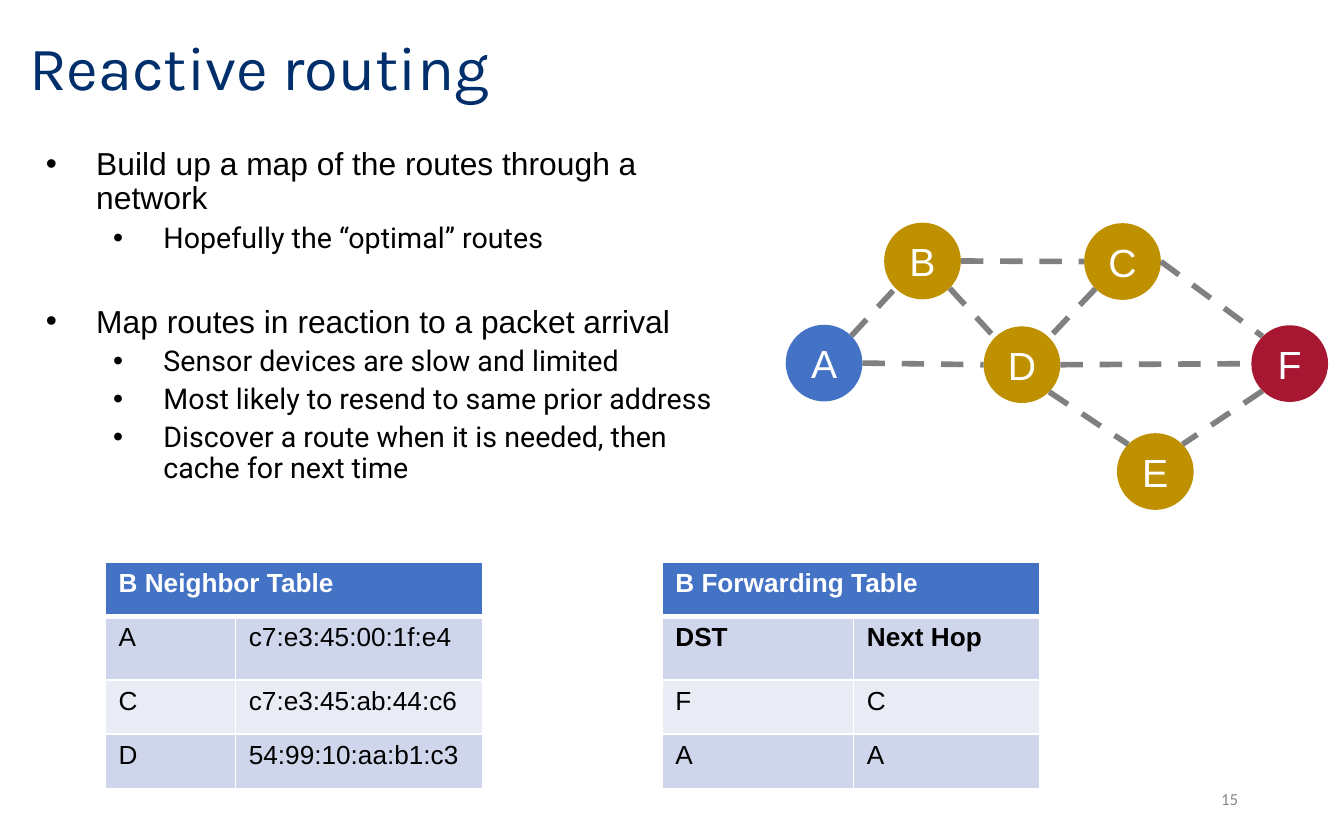
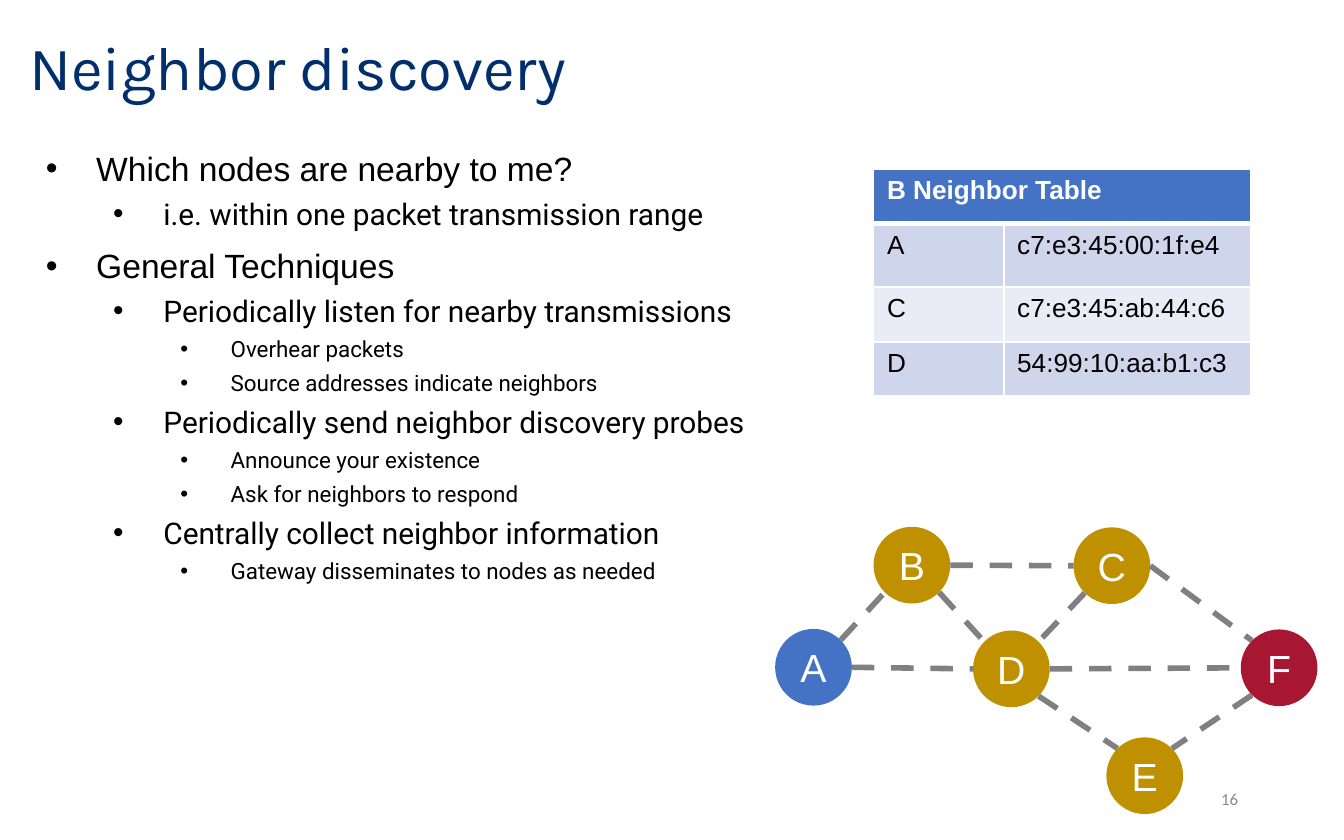
from lxml.etree import SubElement
from pptx import Presentation
from pptx.dml.color import RGBColor
from pptx.enum.dml import MSO_LINE
from pptx.enum.shapes import MSO_CONNECTOR, MSO_SHAPE
from pptx.enum.text import MSO_ANCHOR, PP_ALIGN
from pptx.oxml.ns import qn
from pptx.util import Cm, Pt

HUES = {
    "navy": "002F6C", "black": "000000", "white": "FFFFFF", "grey": "888888",
    "blue": "4472C4", "gold": "BF9000", "red": "A71732", "link": "808080",
    "dark": "CFD5EA", "light": "E9EBF5",
}
FONTS = {
    "title": {"name": "Karla", "size": Pt(33)},
    "page": {"name": "Calibri", "size": Pt(9)},
    "head": {"name": "Arial", "size": Pt(14), "bold": True},
    "cell": {"name": "Arial", "size": Pt(14), "bold": False},
    "node": {"name": "Arial", "size": Pt(21)},
}
INSETS = {"margin_left": Cm(0.25), "margin_right": Cm(0.25),
          "margin_top": Cm(0.13), "margin_bottom": Cm(0.13)}

SIZE = 1.45
NODES = {
    "A": (0, 1.93, "blue"), "B": (1.86, 0, "gold"), "C": (5.64, 0.01, "gold"),
    "D": (3.74, 1.96, "gold"), "E": (6.26, 3.98, "gold"), "F": (8.8, 1.94, "red"),
}
LINKS = [
    ("A", (1, -1), "B", (-1, 1)), ("B", (1, 0), "C", (-1, 0)),
    ("B", (1, 1), "D", (-1, -1)), ("C", (-1, 1), "D", (1, -1)),
    ("C", (1, 0), "F", (-1, -1)), ("D", (1, 0), "F", (-1, 0)),
    ("D", (1, 1), "E", (-1, -1)), ("F", (-1, 1), "E", (1, -1)),
    ("A", (1, 0), "D", (-1, 0)),
]
NEAR = ("B Neighbor Table", (2.46, 4.67), [
    ("A", "c7:e3:45:00:1f:e4"), ("C", "c7:e3:45:ab:44:c6"), ("D", "54:99:10:aa:b1:c3")])
HOPS = ("B Forwarding Table", (3.62, 3.52), [("DST", "Next Hop"), ("F", "C"), ("A", "A")])

DECK = [
    {
        "title": "Reactive routing", "page": "15",
        "body": (0.3, 2.67, 14.12, 7.34), "sizes": (17, 15.3), "lead": 0.9,
        "gaps": {2: 27.4},
        "points": [
            (0, "Build up a map of the routes through a network"),
            (1, "Hopefully the “optimal” routes"),
            (0, "Map routes in reaction to a packet arrival"),
            (1, "Sensor devices are slow and limited"),
            (1, "Most likely to resend to same prior address"),
            (1, "Discover a route when it is needed, then cache for next time"),
        ],
        "grids": [(NEAR, (1.99, 10.62), False), (HOPS, (12.51, 10.62), True)],
        "graph": (14.85, 4.21),
    },
    {
        "title": "Neighbor discovery", "page": "16",
        "body": (0.3, 2.67, 24.82, 11.63), "sizes": (18, 16, 12), "lead": 1.0,
        "gaps": {},
        "points": [
            (0, "Which nodes are nearby to me?"),
            (1, "i.e. within one packet transmission range"),
            (0, "General Techniques"),
            (1, "Periodically listen for nearby transmissions"),
            (2, "Overhear packets"),
            (2, "Source addresses indicate neighbors"),
            (1, "Periodically send neighbor discovery probes"),
            (2, "Announce your existence"),
            (2, "Ask for neighbors to respond"),
            (1, "Centrally collect neighbor information"),
            (2, "Gateway disseminates to nodes as needed"),
        ],
        "grids": [(NEAR, (16.51, 3.2), False)],
        "graph": (14.65, 9.96),
    },
]


def rgb(hue):
    return RGBColor.from_string(HUES[hue])


def apply(item, values):
    for key, value in values.items():
        setattr(item, key, value)


def write(para, text, font, hue):
    run = para.add_run()
    run.text = text
    apply(run.font, font)
    run.font.color.rgb = rgb(hue)


def paint(item, hue):
    item.fill.solid()
    item.fill.fore_color.rgb = rgb(hue)


def frame(slide, box, anchor):
    text = slide.shapes.add_textbox(*map(Cm, box)).text_frame
    apply(text, {"word_wrap": True, "vertical_anchor": anchor, **INSETS})
    return text


def label(slide, box, text, kind, hue, align):
    para = frame(slide, box, MSO_ANCHOR.MIDDLE).paragraphs[0]
    apply(para, {"alignment": align, "line_spacing": 0.9})
    write(para, text, FONTS[kind], hue)


def bullet(para, level):
    props = para._p.get_or_add_pPr()
    props.set("marL", str(Cm(1.27 * (level + 1))))
    props.set("indent", str(Cm(-0.95)))
    tint = SubElement(props, qn("a:buClr"))
    SubElement(tint, qn("a:srgbClr"), val=HUES["black"])
    SubElement(props, qn("a:buFont"), typeface="Arial")
    SubElement(props, qn("a:buChar"), char="•")


def points(slide, page):
    text = frame(slide, page["body"], MSO_ANCHOR.TOP)
    for row, (level, line) in enumerate(page["points"]):
        para = text.add_paragraph() if row else text.paragraphs[0]
        gap = page["gaps"].get(row, 3.8 if level else 7.5)
        apply(para, {"level": level, "line_spacing": page["lead"], "space_before": Pt(gap)})
        bullet(para, level)
        font = {"name": "Roboto" if level else "Arial", "size": Pt(page["sizes"][level])}
        write(para, line, font, "black")


def border(cell, row):
    props = cell._tc.get_or_add_tcPr()
    thick = {(0, "lnB"), (1, "lnT")}
    for side in ("lnL", "lnR", "lnT", "lnB"):
        width = Pt(3 if (row, side) in thick else 1)
        edge = SubElement(props, qn("a:" + side), w=str(width))
        SubElement(SubElement(edge, qn("a:solidFill")), qn("a:srgbClr"), val=HUES["white"])


def grid(slide, data, spot, strong):
    name, wide, body = data
    rows = [(name, "")] + body
    high = (1.03, 1.2, 1.03, 1.03)
    table = slide.shapes.add_table(
        len(rows), len(wide), *map(Cm, (*spot, sum(wide), sum(high)))).table
    for part, size in [*zip(table.columns, wide)]:
        part.width = Cm(size)
    for part, size in zip(table.rows, high):
        part.height = Cm(size)
    table.cell(0, 0).merge(table.cell(0, 1))
    for row, texts in enumerate(rows):
        bold = row == 0 or (strong and row == 1)
        for col, text in enumerate(texts):
            cell = table.cell(row, col)
            border(cell, row)
            paint(cell, "blue" if row == 0 else "dark" if row % 2 else "light")
            if text:
                write(cell.text_frame.paragraphs[0], text,
                      FONTS["head" if bold else "cell"], "black" if row else "white")


def graph(slide, spot):
    left, top = spot
    group = slide.shapes.add_group_shape().shapes

    def port(name, way):
        reach = SIZE / 2 * (0.71 if all(way) else 1)
        x, y, _ = NODES[name]
        return (Cm(left + x + SIZE / 2 + reach * way[0]),
                Cm(top + y + SIZE / 2 + reach * way[1]))

    for name, (x, y, hue) in NODES.items():
        node = group.add_shape(MSO_SHAPE.OVAL, *map(Cm, (left + x, top + y, SIZE, SIZE)))
        node.shadow.inherit = False
        paint(node, hue)
        node.line.fill.background()
        apply(node.text_frame, {**dict.fromkeys(INSETS, 0),
                                "vertical_anchor": MSO_ANCHOR.MIDDLE})
        para = node.text_frame.paragraphs[0]
        para.alignment = PP_ALIGN.CENTER
        write(para, name, FONTS["node"], "white")
    for start, out, end, into in LINKS:
        link = group.add_connector(
            MSO_CONNECTOR.STRAIGHT, *port(start, out), *port(end, into))
        link.line.color.rgb = rgb("link")
        apply(link.line, {"width": Pt(3), "dash_style": MSO_LINE.DASH})
        SubElement(link._element.spPr, qn("a:effectLst"))


def build(deck, page):
    slide = deck.slides.add_slide(deck.slide_layouts[6])
    label(slide, (0.3, 0.25, 21.64, 2.18), page["title"], "title", "navy", PP_ALIGN.LEFT)
    points(slide, page)
    label(slide, (17.93, 14.71, 5.72, 0.84), page["page"], "page", "grey", PP_ALIGN.RIGHT)
    for item in page["grids"]:
        grid(slide, *item)
    graph(slide, page["graph"])


def main():
    deck = Presentation()
    apply(deck, {"slide_width": Cm(25.4), "slide_height": Cm(15.88)})
    for page in DECK:
        build(deck, page)
    deck.save("out.pptx")


if __name__ == "__main__":
    main()
